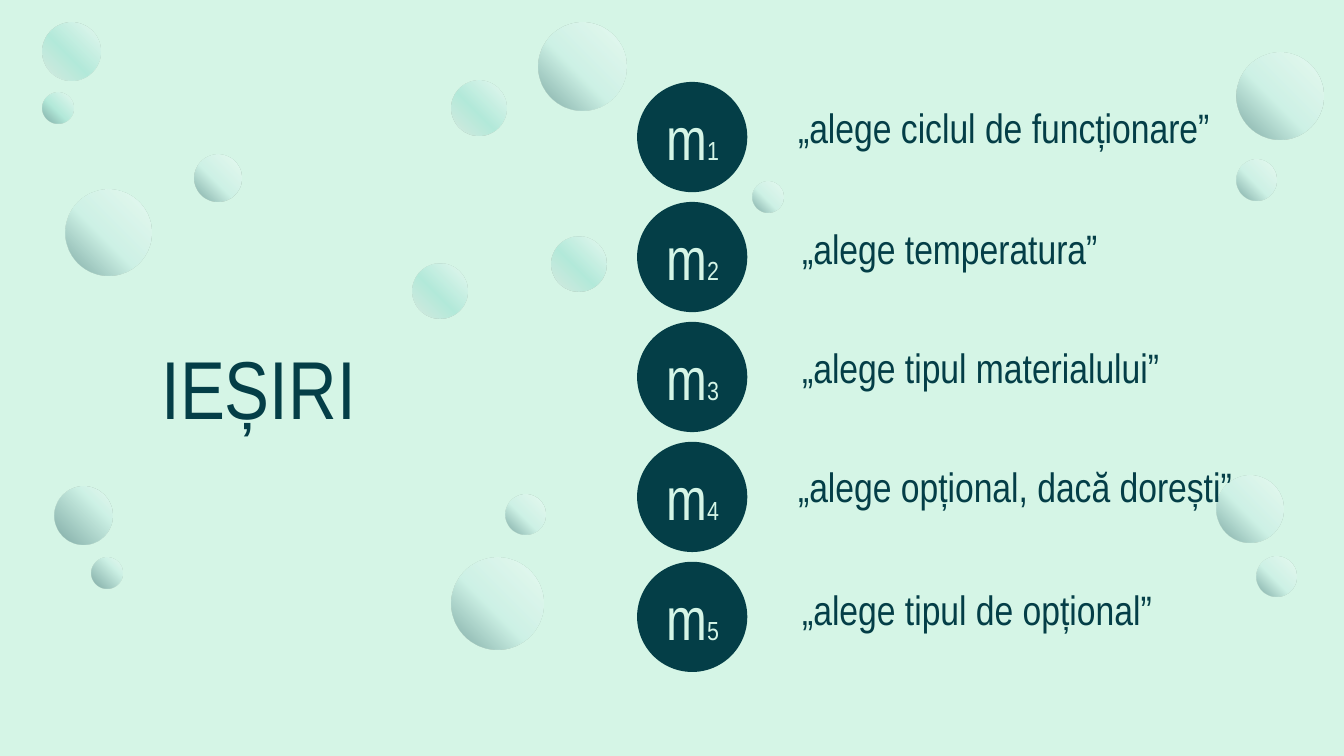
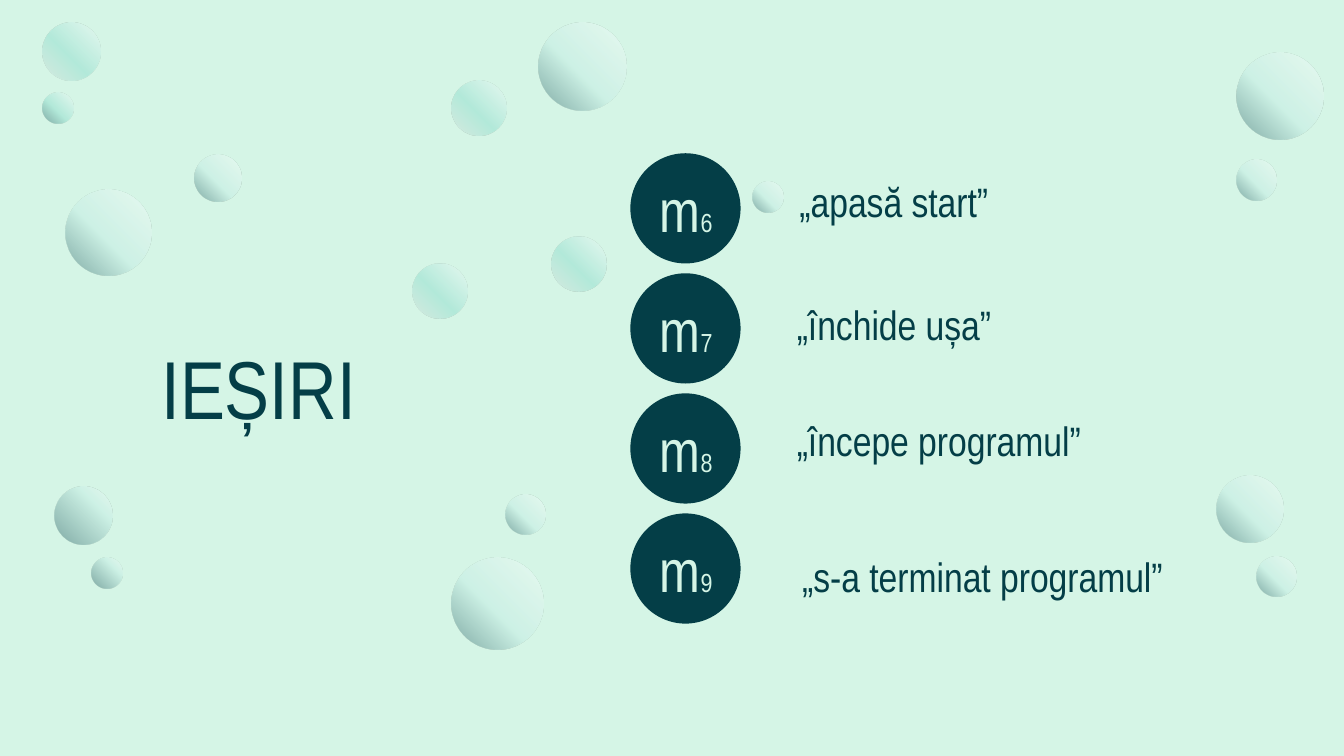
from lxml import etree
from pptx import Presentation
from pptx.dml.color import RGBColor
from pptx.enum.shapes import MSO_SHAPE as Shape
from pptx.enum.text import MSO_ANCHOR as Anchor, MSO_AUTO_SIZE as AutoSize, PP_ALIGN as Align
from pptx.oxml.ns import qn
from pptx.util import Inches, Pt

# Colours and font
MINT = RGBColor(0xD5, 0xF5, 0xE6)
PETROL = RGBColor(0x04, 0x3E, 0x47)
WHITE = RGBColor(0xFF, 0xFF, 0xFF)
PALE = RGBColor(0xC1, 0xEC, 0xE4)
AQUA = RGBColor(0x82, 0xD9, 0xC8)
GREY = RGBColor(0xD9, 0xD9, 0xD9)
FONT = "Arial Narrow"

# Gradient stops of the bubbles: position in percent, colour
DEEP = ((0, WHITE), (56, PALE), (100, PETROL))
DARK = ((0, WHITE), (31, PALE), (100, PETROL))
TEAL = ((0, WHITE), (56, AQUA), (100, PETROL))
SOFT = ((0, WHITE), (56, AQUA), (100, GREY))
BUBBLE_ALPHA = 41

# Bubbles: left, top, diameter, stops
LAYOUT_BUBBLES = [
    (9.35, 4.14, 0.3, DEEP), (9.05, 3.54, 0.5, DEEP), (9.2, 0.39, 0.65, DEEP),
    (9.2, 1.19, 0.3, DEEP), (4.01, 0.17, 0.65, DEEP), (0.32, 0.69, 0.23, TEAL),
    (0.32, 0.17, 0.43, SOFT), (0.41, 3.62, 0.43, DARK), (0.68, 4.15, 0.23, DARK),
]
BACK_BUBBLES = [
    (3.07, 1.96, 0.41, SOFT), (3.36, 0.6, 0.41, SOFT),
    (3.76, 3.68, 0.3, DEEP), (5.6, 1.35, 0.23, DEEP),
]
FRONT_BUBBLES = [
    (3.36, 4.15, 0.68, DEEP), (1.45, 1.15, 0.35, DEEP),
    (0.49, 1.41, 0.64, DEEP), (4.1, 1.76, 0.41, SOFT),
]

BADGE_SIZE = 0.82
LABEL_WIDTH, LABEL_HEIGHT = 0.77, 0.72
CAPTION_HEIGHT = 0.49

# Outputs per page: badge column, then captions as left, top, width, text
PAGES = [
    {"left": 4.74, "first_top": 0.61, "last_top": 4.18, "first_number": 1, "captions": [
        (5.84, 0.66, 3.68, "„alege ciclul de funcționare”"),
        (5.87, 1.56, 3.38, "„alege temperatura”"),
        (5.87, 2.45, 3.38, "„alege tipul materialului”"),
        (5.84, 3.33, 3.83, "„alege opțional, dacă dorești”"),
        (5.87, 4.25, 3.38, "„alege tipul de opțional”")]},
    {"left": 4.69, "first_top": 1.14, "last_top": 3.82, "first_number": 6, "captions": [
        (5.85, 1.21, 3.38, "„apasă start”"),
        (5.83, 2.13, 3.38, "„închide ușa”"),
        (5.83, 2.99, 3.38, "„începe programul”"),
        (5.87, 4, 3.38, "„s-a terminat programul”")]},
]


def set_all(target, values):
    for name, value in values.items():
        setattr(target, name, value)


def margins(side, top):
    return {"margin_left": Inches(side), "margin_right": Inches(side),
            "margin_top": Inches(top), "margin_bottom": Inches(top)}


class Deck:
    """Holds the style and the current slide."""

    def __init__(self):
        self.deck = Presentation()
        self.deck.slide_width = Inches(10)
        self.deck.slide_height = Inches(10) * 9 // 16
        self.layout = self.deck.slide_layouts.get_by_name("Title Only")
        fill = self.deck.slide_master.background.fill
        fill.solid()
        fill.fore_color.rgb = MINT
        self.page = None

    def new_page(self):
        self.page = self.deck.slides.add_slide(self.layout)

    def span(self, para, text, size, color):
        span = para.add_run()
        span.text = text
        set_all(span.font, {"name": FONT, "size": Pt(size), "bold": False})
        span.font.color.rgb = color

    def circle(self, left, top, size):
        circle = self.page.shapes.add_shape(
            Shape.OVAL, Inches(left), Inches(top), Inches(size), Inches(size))
        circle.line.fill.background()
        circle.shadow.inherit = False
        return circle

    def bubble(self, left, top, size, stops):
        bubble = self.circle(left, top, size)
        # Translucent radial gradient, lightest at the top right
        gradient = etree.Element(qn("a:gradFill"), rotWithShape="1")
        stop_list = etree.SubElement(gradient, qn("a:gsLst"))
        for position, color in stops:
            stop = etree.SubElement(stop_list, qn("a:gs"), pos=str(position * 1000))
            tone = etree.SubElement(stop, qn("a:srgbClr"), val=str(color))
            etree.SubElement(tone, qn("a:alpha"), val=str(BUBBLE_ALPHA * 1000))
        radial = etree.SubElement(gradient, qn("a:path"), path="circle")
        etree.SubElement(radial, qn("a:fillToRect"), l="100000", b="100000")
        bubble.element.spPr.find(qn("a:prstGeom")).addnext(gradient)
        return bubble

    def bubbles(self, group):
        for values in group:
            self.bubble(*values)

    def layout_bubbles(self, group):
        # Drawn on the current slide, then moved to the layout behind all slides
        for number, values in enumerate(group, 100):
            element = self.bubble(*values).element
            element.nvSpPr.cNvPr.set("id", str(number))
            self.layout.shapes.element.append(element)

    def badge(self, left, top):
        badge = self.circle(left, top, BADGE_SIZE)
        badge.fill.solid()
        badge.fill.fore_color.rgb = PETROL

    def text_box(self, left, top, width, height, **values):
        box = self.page.shapes.add_textbox(
            Inches(left), Inches(top), Inches(width), Inches(height))
        set_all(box.text_frame, {"word_wrap": True, **values})
        return box.text_frame.paragraphs[0]

    def label(self, left, top, number):
        para = self.text_box(left, top, LABEL_WIDTH, LABEL_HEIGHT,
                             vertical_anchor=Anchor.MIDDLE, **margins(0, 0.1))
        para.alignment = Align.CENTER
        self.span(para, "m", 32, MINT)
        self.span(para, str(number), 14, MINT)

    def caption(self, left, top, width, text):
        para = self.text_box(left, top, width, CAPTION_HEIGHT, **margins(0.1, 0.1))
        self.span(para, text, 22, PETROL)

    def title(self, text):
        box = self.page.shapes.title
        set_all(box, {"left": Inches(1.1), "top": Inches(2.46),
                      "width": Inches(3.53), "height": Inches(0.84)})
        set_all(box.text_frame, {"word_wrap": True, "vertical_anchor": Anchor.TOP,
                                 "auto_size": AutoSize.SHAPE_TO_FIT_TEXT, **margins(0.1, 0.05)})
        para = box.text_frame.paragraphs[0]
        para.alignment = Align.LEFT
        self.span(para, text, 44, PETROL)

    def outputs(self, left, first_top, last_top, first_number, captions):
        step = (last_top - first_top) / (len(captions) - 1)
        tops = [first_top + row * step for row in range(len(captions))]
        for top in reversed(tops):
            self.badge(left, top)
        # Labels sit in the middle of their badges
        inset = (BADGE_SIZE - LABEL_HEIGHT) / 2
        for number, top in enumerate(tops, first_number):
            self.label(left + 0.03, top + inset, number)
        for values in captions:
            self.caption(*values)


def main():
    deck = Deck()
    for index, content in enumerate(PAGES):
        deck.new_page()
        if index == 0:
            deck.layout_bubbles(LAYOUT_BUBBLES)
        deck.bubbles(BACK_BUBBLES)
        deck.title("IEȘIRI")
        deck.outputs(**content)
        deck.bubbles(FRONT_BUBBLES)
    deck.deck.save("out.pptx")


if __name__ == "__main__":
    main()
